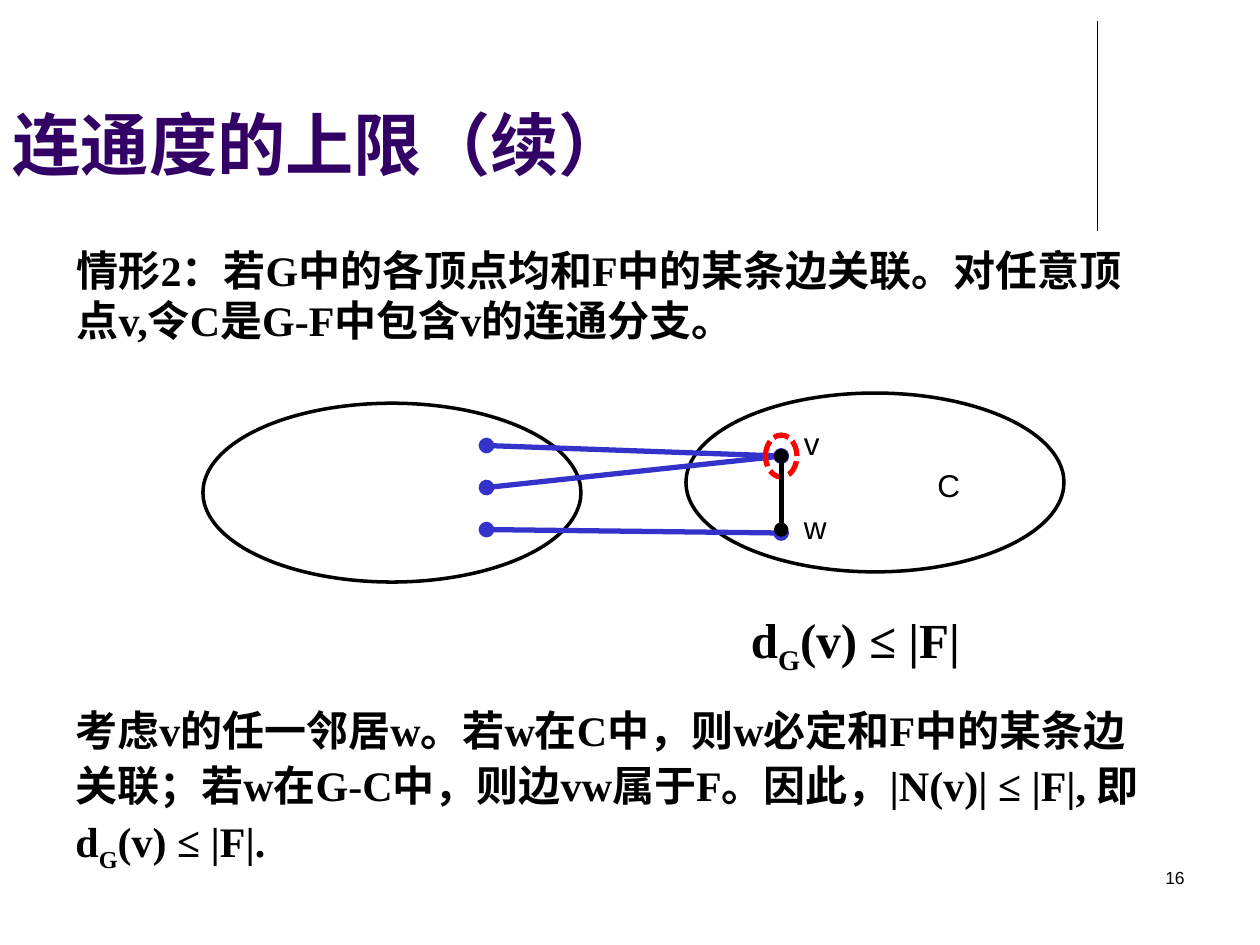
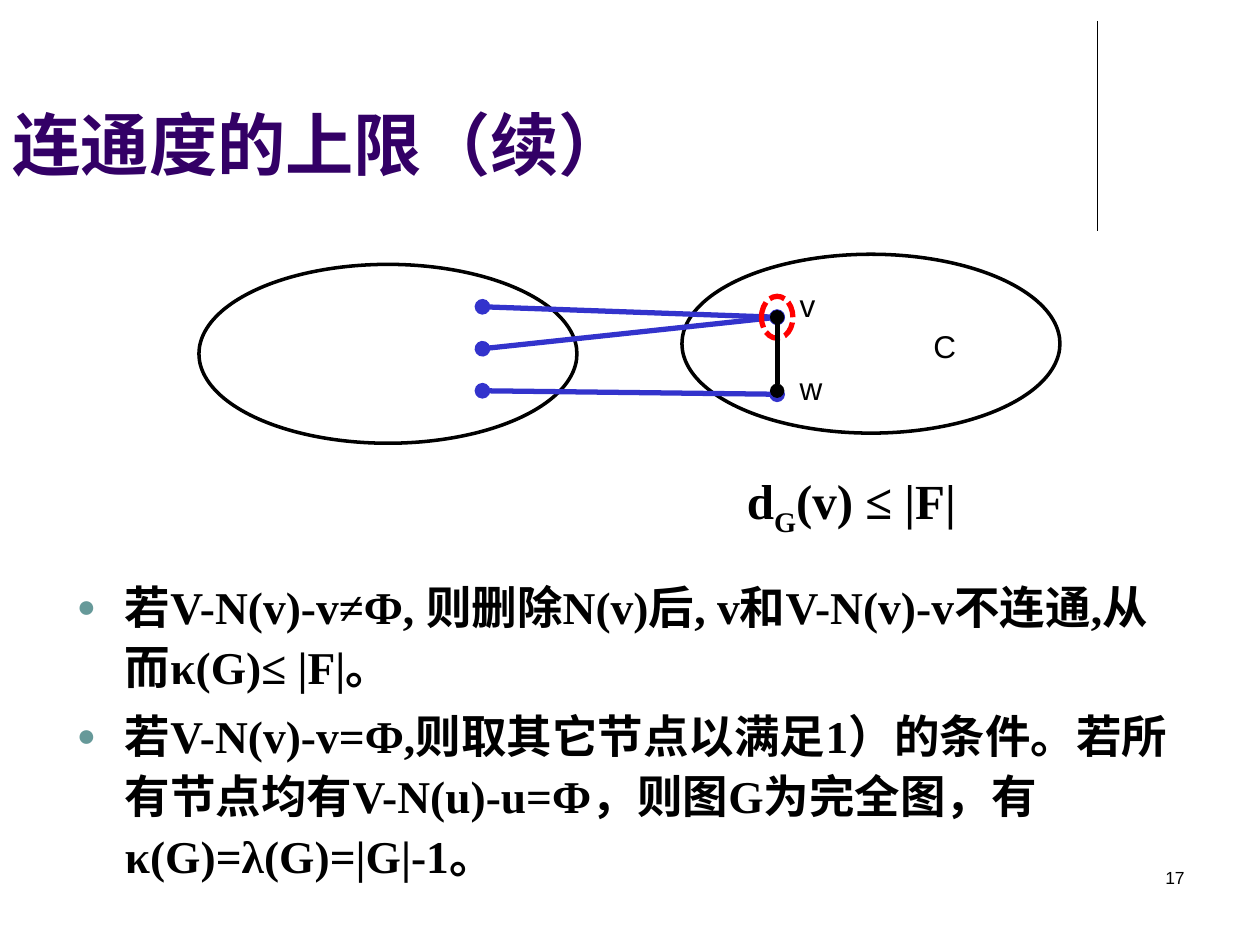
from dataclasses import dataclass

from lxml import etree
from pptx import Presentation
from pptx.dml.color import RGBColor
from pptx.enum.dml import MSO_LINE
from pptx.enum.shapes import MSO_CONNECTOR, MSO_SHAPE
from pptx.enum.text import MSO_ANCHOR, MSO_AUTO_SIZE, PP_ALIGN
from pptx.oxml.ns import qn
from pptx.util import Pt

LEFT, RIGHT = PP_ALIGN.LEFT, PP_ALIGN.RIGHT
TOP, BOTTOM = MSO_ANCHOR.TOP, MSO_ANCHOR.BOTTOM
NO_AUTOFIT = MSO_AUTO_SIZE.NONE
STRAIGHT, OVAL = MSO_CONNECTOR.STRAIGHT, MSO_SHAPE.OVAL
DASHED = MSO_LINE.SQUARE_DOT
TITLE_AND_BODY, TITLE_ONLY = 1, 5


@dataclass(frozen=True)
class Style:
    size: float
    font: str
    color: str = "000000"
    bold: bool = False


@dataclass(frozen=True)
class Theme:
    ink: str = "000000"
    edge: str = "3333CC"
    marker: str = "FF0000"
    bullet: str = "669999"
    title: Style = Style(39, "Arial", "330066", True)
    number: Style = Style(10, "Arial")
    label: Style = Style(18, "Arial")
    formula: Style = Style(28, "Times New Roman", bold=True)
    prose: Style = Style(24, "Times New Roman", bold=True)
    items: Style = Style(26, "Times New Roman", bold=True)


THEME = Theme()

# Text is a list of (words, is_subscript) spans.
TITLE = "连通度的上限（续）"
FORMULA = [("d", False), ("G", True), ("(v) ≤ |F|", False)]
CASE = [("情形2：若G中的各顶点均和F中的某条边关联。对任意顶点v,令C是G-F中包含v的连通分支。", False)]
ARGUMENT = [
    ("考虑v的任一邻居w。若w在C中，则w必定和F中的某条边关联；"
     "若w在G-C中，则边vw属于F。因此，|N(v)| ≤ |F|, 即d", False),
    ("G", True),
    ("(v) ≤ |F|.", False),
]
CONCLUSIONS = [
    "若V-N(v)-v≠Ф, 则删除N(v)后, v和V-N(v)-v不连通,从而κ(G)≤ |F|。",
    "若V-N(v)-v=Ф,则取其它节点以满足1）的条件。"
    "若所有节点均有V-N(u)-u=Ф，则图G为完全图，有κ(G)=λ(G)=|G|-1。",
]

PAGES = [
    {"number": "16", "title_width": 516, "diagram": (116, 224.6),
     "prose": [(CASE, (36.7, 136, 629.3, 65.5), 1.0),
               (ARGUMENT, (36, 396, 636, 101), 1.1)],
     "items": []},
    {"number": "17", "title_width": 533, "diagram": (113.7, 145.3),
     "prose": [], "items": CONCLUSIONS},
]
ITEMS_AREA = (9.4, 324, 674.6, 185)

# Diagram geometry, measured from its own top left corner.
COMPONENT_SIZE = (216, 102.2)
COMPONENTS = [(0, 5.8), (276, 0)]
V, W = (330.4, 36), (330.4, 78)
OUTER_X, OUTER_TOP, OUTER_STEP = 162, 30, 24
INNER_ENDS = [V, V, (330.4, 80)]
MARKER_SIZE = (18, 24)
LABELS = [("v", (336.2, 14.4)), ("w", (336.2, 61.9)), ("C", (412.6, 38.2))]
FORMULA_AREA = (306, 120.2, 156.2, 41)


def color(value):
    return RGBColor.from_string(value)


def points(values):
    return [Pt(value) for value in values]


def write(para, spans, style):
    for words, is_subscript in spans:
        span = para.add_run()
        span.text = words
        font = span.font
        font.size, font.name, font.bold = Pt(style.size), style.font, style.bold
        font.color.rgb = color(style.color)
        if is_subscript:
            span._r.get_or_add_rPr().set("baseline", "-25000")


def add_text(page, area, spans, style, align=LEFT, spacing=1.0, wrap=True):
    frame = page.shapes.add_textbox(*points(area)).text_frame
    frame.word_wrap = wrap
    para = frame.paragraphs[0]
    para.alignment, para.line_spacing = align, spacing
    write(para, spans, style)


def add_line(page, start, end, line_color, width, dotted_ends=False):
    line = page.shapes.add_connector(STRAIGHT, *points((*start, *end)))
    line.line.color.rgb = color(line_color)
    line.line.width = Pt(width)
    properties = line._element.spPr
    if dotted_ends:
        outline = properties.find(qn("a:ln"))
        for end_name in ("a:headEnd", "a:tailEnd"):
            etree.SubElement(outline, qn(end_name), type="oval")
    etree.SubElement(properties, qn("a:effectLst"))


def add_ring(page, area, line_color, width):
    ring = page.shapes.add_shape(OVAL, *points(area))
    ring.shadow.inherit = False
    ring.fill.background()
    ring.line.color.rgb = color(line_color)
    ring.line.width = Pt(width)
    return ring


def place(placeholder, area, anchor):
    """Move a placeholder and return its text frame, ready to fill."""
    (placeholder.left, placeholder.top,
     placeholder.width, placeholder.height) = points(area)
    frame = placeholder.text_frame
    frame.auto_size, frame.vertical_anchor = NO_AUTOFIT, anchor
    return frame


def set_bullet(para):
    properties = para._p.get_or_add_pPr()
    properties.set("marL", str(Pt(54.7)))
    properties.set("indent", str(Pt(-27.4)))
    tint = etree.SubElement(properties, qn("a:buClr"))
    etree.SubElement(tint, qn("a:srgbClr"), val=THEME.bullet)
    etree.SubElement(properties, qn("a:buSzPct"), val="70000")
    etree.SubElement(properties, qn("a:buChar"), char="●")


def add_items(page, items):
    frame = place(page.placeholders[1], ITEMS_AREA, TOP)
    for index, item in enumerate(items):
        para = frame.add_paragraph() if index else frame.paragraphs[0]
        para.line_spacing, para.space_before = 1.1, Pt(5.2)
        set_bullet(para)
        write(para, [(item, False)], THEME.items)


def add_diagram(page, origin):
    """Draw the edge cut F between the component C and the rest of G."""
    def at(point):
        return origin[0] + point[0], origin[1] + point[1]

    for corner in COMPONENTS:
        add_ring(page, (*at(corner), *COMPONENT_SIZE), THEME.ink, 2)
    for index, inner in enumerate(INNER_ENDS):
        outer = (OUTER_X, OUTER_TOP + index * OUTER_STEP)
        add_line(page, at(outer), at(inner), THEME.edge, 3, dotted_ends=True)
    width, height = MARKER_SIZE
    corner = at((V[0] - width / 2, V[1] - height / 2))
    marker = add_ring(page, (*corner, width, height), THEME.marker, 3)
    marker.line.dash_style = DASHED
    add_line(page, at(V), at(W), THEME.ink, 2.75, dotted_ends=True)
    for name, corner in LABELS:
        add_text(page, (*at(corner), 27, 29), [(name, False)], THEME.label, wrap=False)
    add_text(page, (*at(FORMULA_AREA[:2]), *FORMULA_AREA[2:]), FORMULA, THEME.formula)


def add_page(deck, content):
    layout = TITLE_AND_BODY if content["items"] else TITLE_ONLY
    page = deck.slides.add_slide(deck.slide_layouts[layout])
    title = place(page.shapes.title, (0, 54.7, content["title_width"], 54), BOTTOM)
    title.paragraphs[0].alignment = LEFT
    write(title.paragraphs[0], [(TITLE, False)], THEME.title)
    add_line(page, (627, 12), (627, 132), THEME.ink, 0.75)
    add_text(page, (516, 492, 168, 36), [(content["number"], False)],
             THEME.number, align=RIGHT)
    add_diagram(page, content["diagram"])
    for spans, area, spacing in content["prose"]:
        add_text(page, area, spans, THEME.prose, spacing=spacing)
    if content["items"]:
        add_items(page, content["items"])


def main():
    deck = Presentation()
    deck.slide_width, deck.slide_height = Pt(720), Pt(540)
    for content in PAGES:
        add_page(deck, content)
    deck.save("out.pptx")


if __name__ == "__main__":
    main()
